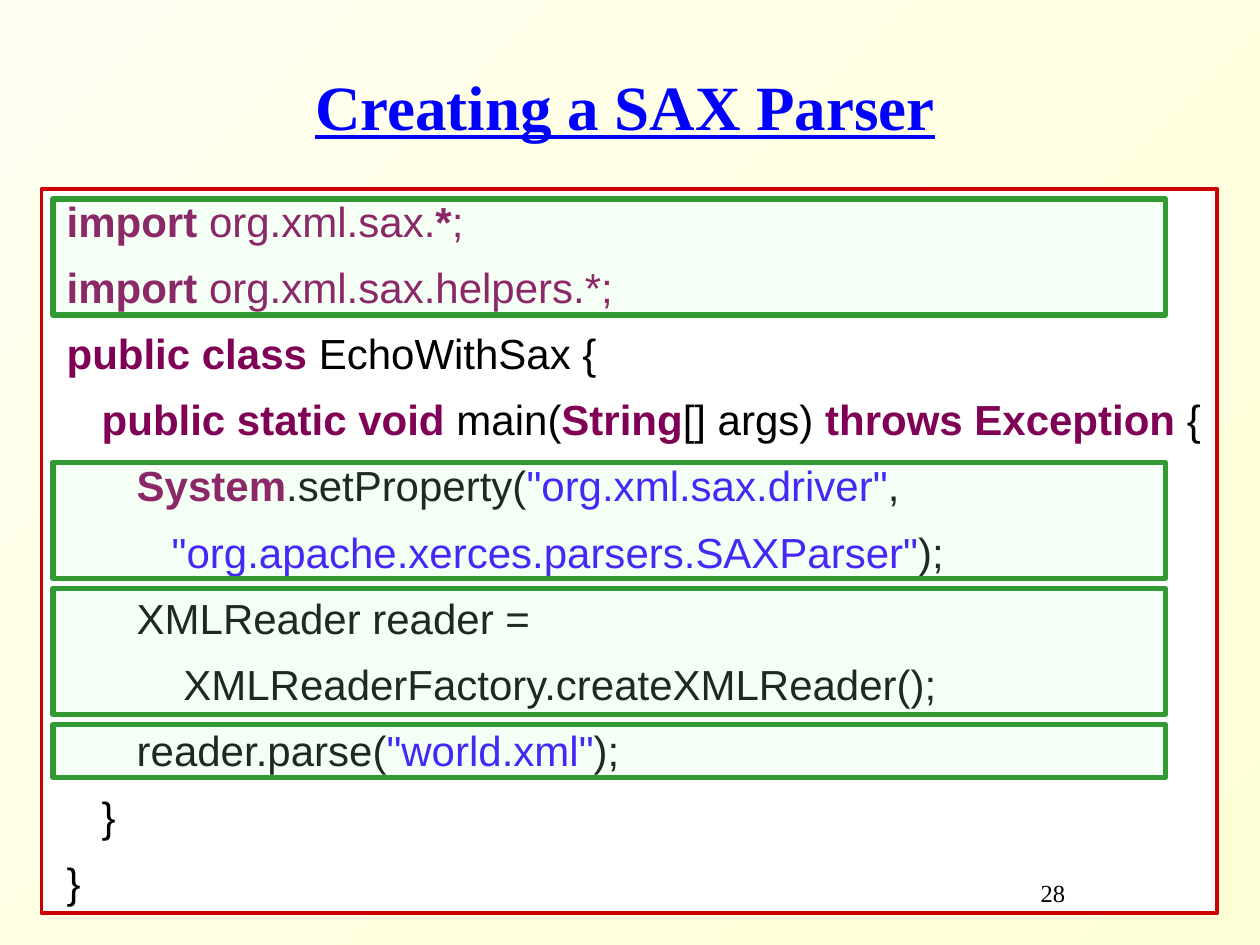
from lxml import etree
from pptx import Presentation
from pptx.dml.color import RGBColor
from pptx.enum.shapes import MSO_SHAPE
from pptx.enum.text import MSO_ANCHOR, PP_ALIGN
from pptx.oxml.ns import qn
from pptx.util import Inches, Pt

RECT = MSO_SHAPE.RECTANGLE
LEFT, CENTER = PP_ALIGN.LEFT, PP_ALIGN.CENTER
TOP, MIDDLE = MSO_ANCHOR.TOP, MSO_ANCHOR.MIDDLE

CREAM = RGBColor(0xFF, 0xFF, 0xD7)
IVORY = RGBColor(0xFF, 0xFF, 0xEF)
WHITE = RGBColor(0xFF, 0xFF, 0xFF)
BLACK = RGBColor(0, 0, 0)
BLUE = RGBColor(0, 0, 0xFF)
RED = RGBColor(0xCC, 0, 0)
GREEN = RGBColor(0x33, 0x99, 0x33)
MINT = RGBColor(0xCC, 0xFF, 0xCC)
PURPLE = RGBColor(0x7F, 0, 0x55)
INDIGO = RGBColor(0x2A, 0, 0xFF)

WORD = (PURPLE, True)
PATH = (PURPLE, False)
PLAIN = (BLACK, False)
QUOTE = (INDIGO, False)

SPACE = 0.0926
CODE = [
    (0, [("import", WORD), (" org.xml.sax.", PATH), ("*", WORD), (";", PATH)]),
    (0, [("import", WORD), (" org.xml.sax.helpers.*;", PATH)]),
    (0, [("public class", WORD), (" EchoWithSax {", PLAIN)]),
    (3, [("public static void", WORD), (" main(", PLAIN), ("String", WORD),
         ("[] args) ", PLAIN), ("throws Exception", WORD), (" {", PLAIN)]),
    (6, [("System", WORD), (".setProperty(", PLAIN),
         ('"org.xml.sax.driver"', QUOTE), (",", PLAIN)]),
    (9, [('"org.apache.xerces.parsers.SAXParser"', QUOTE), (");", PLAIN)]),
    (6, [("XMLReader reader =", PLAIN)]),
    (10, [("XMLReaderFactory.createXMLReader();", PLAIN)]),
    (6, [("reader.parse(", PLAIN), ('"world.xml"', QUOTE), (");", PLAIN)]),
    (3, [("}", PLAIN)]),
    (0, [("}", PLAIN)]),
]
MARKS = [(1.58, 0.92), (3.67, 0.92), (4.67, 1), (5.75, 0.42)]


def set_back(slide):
    fill = slide.background.fill
    fill.gradient()
    fill.gradient_angle = 135
    for stop, color in zip(fill.gradient_stops, (CREAM, IVORY)):
        stop.color.rgb = color


def indent(para, inches):
    para._p.get_or_add_pPr().set("marL", str(Inches(inches)))


def add_label(slide, text, box, size, color):
    frame = slide.shapes.add_textbox(*map(Inches, box)).text_frame
    frame.word_wrap = True
    para = frame.paragraphs[0]
    para.text = text
    font = para.font
    font.name, font.size, font.color.rgb = "Times New Roman", Pt(size), color
    return frame


def add_title(slide):
    frame = add_label(slide, "Creating a SAX Parser", (1, 0.42, 7.92, 0.92), 36, BLUE)
    frame.vertical_anchor = MIDDLE
    para = frame.paragraphs[0]
    para.alignment = CENTER
    para.line_spacing = 0.85
    para.font.bold = para.font.underline = True


def add_box(slide, box, fill, line, width):
    shape = slide.shapes.add_shape(RECT, *map(Inches, box))
    shape.shadow.inherit = False
    shape.fill.solid()
    shape.fill.fore_color.rgb = fill
    shape.line.color.rgb = line
    shape.line.width = Pt(width)
    return shape


def add_code(slide):
    frame = add_box(slide, (0.33, 1.5, 9.33, 5.75), WHITE, RED, 2.25).text_frame
    frame.word_wrap = True
    frame.vertical_anchor = TOP
    frame.margin_left = Inches(0.2)
    for i, (depth, parts) in enumerate(CODE):
        para = frame.add_paragraph() if i else frame.paragraphs[0]
        para.alignment = LEFT
        para.space_before = Pt(9)
        para.font.name, para.font.size = "Arial", Pt(24)
        indent(para, depth * SPACE)
        for text, (color, bold) in parts:
            run = para.add_run()
            run.text = text
            run.font.color.rgb, run.font.bold = color, bold


def add_mark(slide, top, height):
    shape = add_box(slide, (0.42, top, 8.83, height), MINT, GREEN, 3)
    color = shape.fill._xPr.find(qn("a:solidFill"))[0]
    etree.SubElement(color, qn("a:alpha")).set("val", "16000")


def main():
    deck = Presentation()
    deck.slide_width, deck.slide_height = Inches(10), Inches(7.5)
    slide = deck.slides.add_slide(deck.slide_layouts[6])
    set_back(slide)
    add_title(slide)
    add_code(slide)
    for top, height in MARKS:
        add_mark(slide, top, height)
    number = add_label(slide, "28", (7.92, 6.92, 2.08, 0.5), 14, BLACK)
    indent(number.paragraphs[0], 0.24)
    deck.save("out.pptx")


if __name__ == "__main__":
    main()
